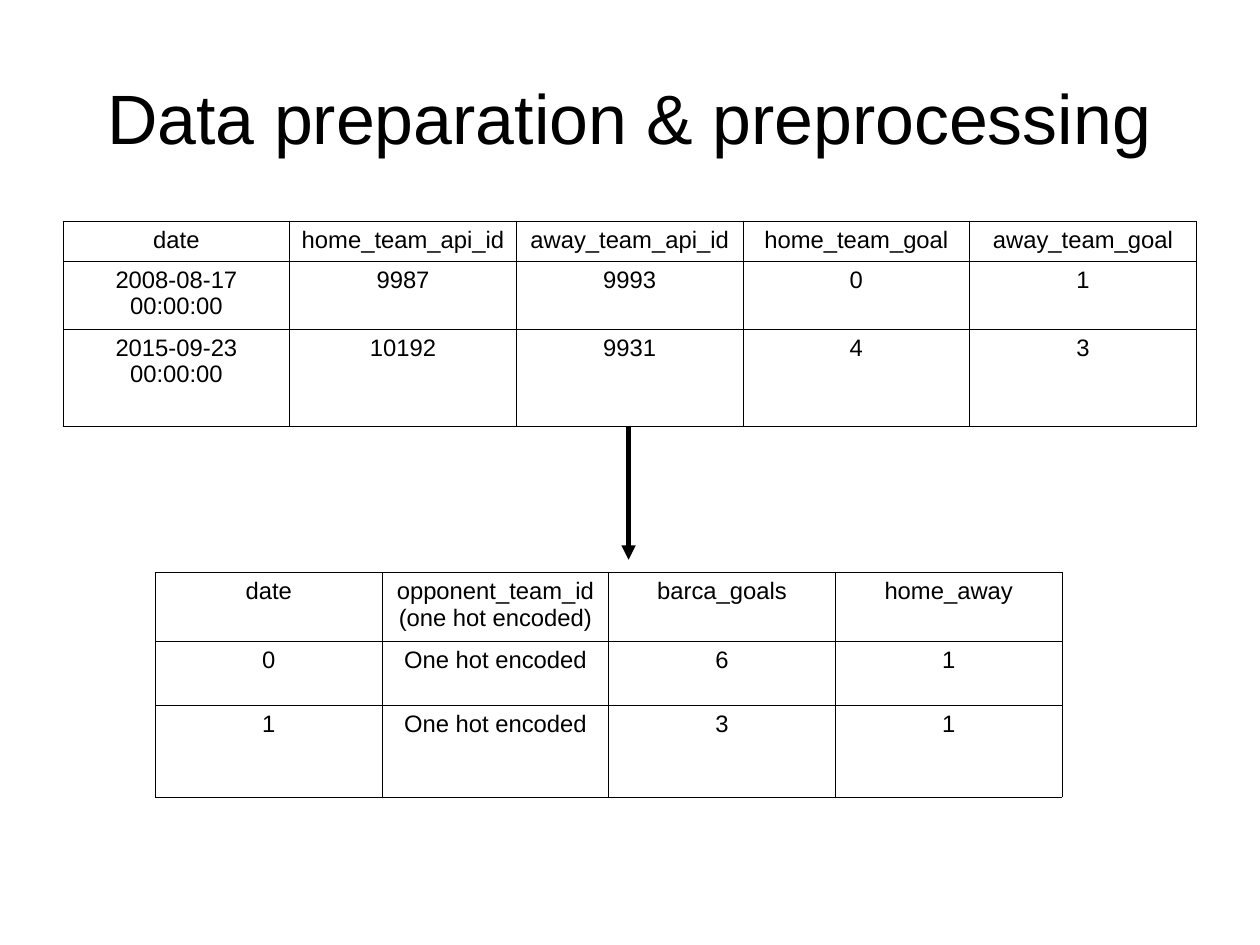
import pptx
import pptx.util
import pptx.dml.color
import pptx.enum.shapes
import pptx.enum.text
import pptx.oxml
import pptx.oxml.ns
import lxml.etree

Pt = pptx.util.Pt
FONT = "Arial"
BLACK = "000000"
COL = 142.8

MATCHES = [
    ["date", "home_team_api_id", "away_team_api_id", "home_team_goal", "away_team_goal"],
    ["2008-08-17 00:00:00", "9987", "9993", "0", "1"],
    ["2015-09-23 00:00:00", "10192", "9931", "4", "3"],
]
ENCODED = [
    ["date", "opponent_team_id\v(one hot encoded)", "barca_goals", "home_away"],
    ["0", "One hot encoded", "6", "1"],
    ["1", "One hot encoded", "3", "1"],
]


def color(code):
    return pptx.dml.color.RGBColor.from_string(code)


def child(parent, tag, **attrs):
    node = lxml.etree.SubElement(parent, pptx.oxml.ns.qn(tag))
    for key, value in attrs.items():
        node.set(key, value)
    return node


def write(frame, text, size=15, code=BLACK, bold=False):
    par = frame.paragraphs[0]
    par.text = text
    par.alignment = pptx.enum.text.PP_ALIGN.CENTER
    for run in par.runs:
        run.font.name = FONT
        run.font.size = Pt(size)
        run.font.bold = bold
        run.font.color.rgb = color(code)


def add_title(slide, text, left, top, width, height):
    title = slide.shapes.title
    title.left, title.top = Pt(left), Pt(top)
    title.width, title.height = Pt(width), Pt(height)
    frame = title.text_frame
    frame.margin_left = frame.margin_right = 0
    frame.margin_top = frame.margin_bottom = 0
    frame.vertical_anchor = pptx.enum.text.MSO_ANCHOR.MIDDLE
    frame.word_wrap = True
    write(frame, text, size=44)


def add_border(cell, width=0.57, code=BLACK):
    props = cell._tc.get_or_add_tcPr()
    for side in ("a:lnL", "a:lnR", "a:lnT", "a:lnB"):
        line = child(props, side, w=str(int(Pt(width))))
        child(child(line, "a:solidFill"), "a:srgbClr", val=code)


def add_grid(slide, data, left, top, heights):
    count = len(data[0])
    shape = slide.shapes.add_table(
        len(data), count, Pt(left), Pt(top), Pt(COL * count), Pt(sum(heights)))
    table = shape.table
    table.first_row = table.horz_banding = False
    for col in table.columns:
        col.width = Pt(COL)
    for row, height, texts in zip(table.rows, heights, data):
        row.height = Pt(height)
        for cell, text in zip(row.cells, texts):
            cell.margin_left = cell.margin_right = Pt(7.2)
            cell.margin_top = cell.margin_bottom = Pt(3.6)
            write(cell.text_frame, text)
            # Borders come before the fill in the cell properties
            add_border(cell)
            cell.fill.background()


def add_arrow(slide, x, top, bottom, width=3):
    arrow = slide.shapes.add_connector(
        pptx.enum.shapes.MSO_CONNECTOR.STRAIGHT, Pt(x), Pt(top), Pt(x), Pt(bottom))
    arrow.line.color.rgb = color(BLACK)
    arrow.line.width = Pt(width)
    child(arrow.line._get_or_add_ln(), "a:tailEnd", type="triangle")
    child(arrow._element.spPr, "a:effectLst")


def main():
    deck = pptx.Presentation()
    deck.slide_width, deck.slide_height = Pt(793.75), Pt(595.25)
    slide = deck.slides.add_slide(deck.slide_layouts[5])

    add_title(slide, "Data preparation & preprocessing", 39.7, 23.8, 714.3, 99.4)

    # Raw matches, turned into encoded features
    add_grid(slide, MATCHES, 39.7, 139.2, [25.2, 43, 61.5])
    add_grid(slide, ENCODED, 97.9, 360.5, [43.3, 40.3, 58])
    add_arrow(slide, 396, 268.6, 352.6)

    deck.save("out.pptx")


if __name__ == "__main__":
    main()
